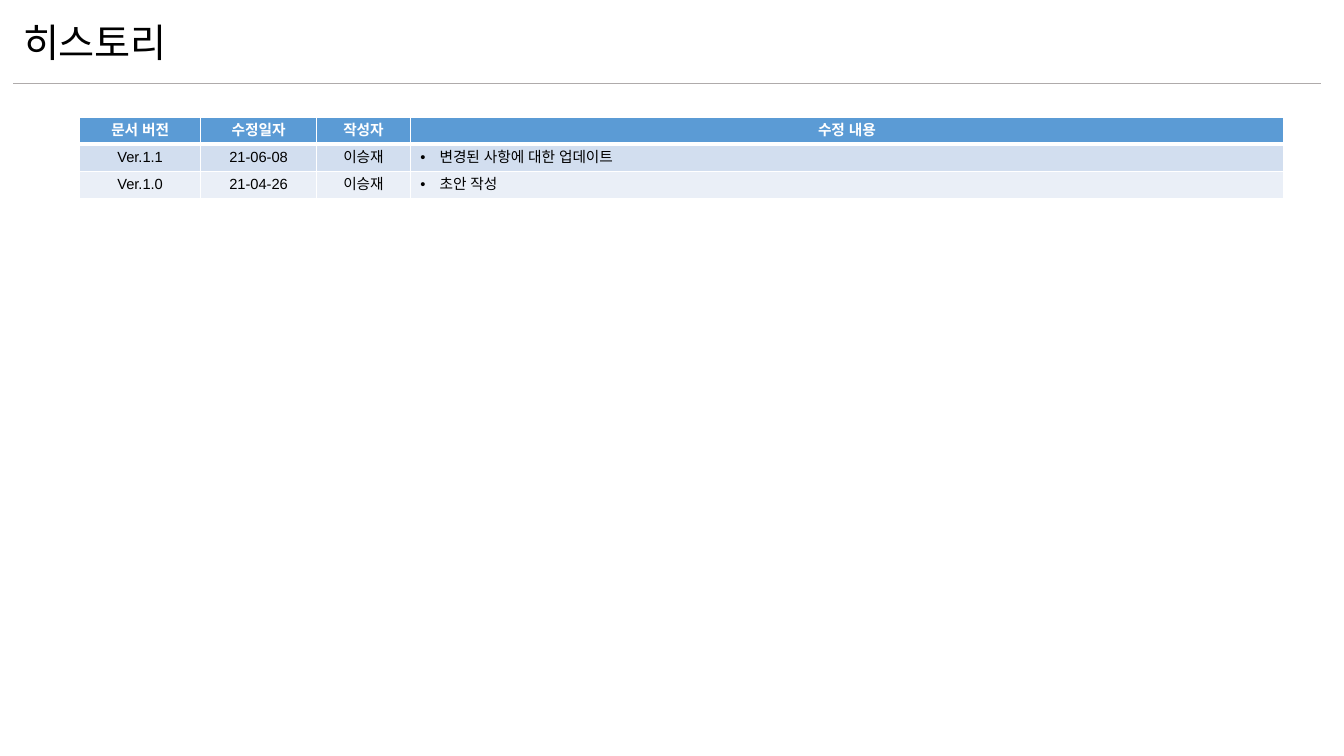
from lxml import etree
from pptx import Presentation
from pptx.dml.color import RGBColor
from pptx.enum import shapes, text
from pptx.oxml.ns import qn
from pptx.util import Inches, Pt

# Content
TITLE = "히스토리"
HISTORY = [
    ("문서 버전", "수정일자", "작성자", "수정 내용"),
    ("Ver.1.1", "21-06-08", "이승재", "변경된 사항에 대한 업데이트"),
    ("Ver.1.0", "21-04-26", "이승재", "초안 작성"),
]
COLUMN_WIDTHS = (1.2, 1.15, 0.93, 8.66)
ROW_FILLS = ("5B9BD5", "D2DEEF", "EAEFF7")
ROW_HEIGHT = 0.27
WHITE, BLACK, RULE_GREY = "FFFFFF", "000000", "AFABAB"


def color(hex_value):
    return RGBColor.from_string(hex_value)


def format_runs(paragraph, font_name, size, hex_value, bold=False):
    for run in paragraph.runs:
        font = run.font
        font.name, font.size, font.bold = font_name, Pt(size), bold
        font.color.rgb = color(hex_value)
        east_asian = etree.SubElement(run._r.get_or_add_rPr(), qn("a:ea"))
        east_asian.set("typeface", font_name)


def add_bullet(paragraph):
    properties = paragraph._p.get_or_add_pPr()
    properties.set("marL", str(Inches(0.19)))
    properties.set("indent", str(-Inches(0.19)))
    etree.SubElement(properties, qn("a:buFont")).set("typeface", "Arial")
    etree.SubElement(properties, qn("a:buChar")).set("char", "•")


def set_borders(cell, widths):
    properties = cell._tc.get_or_add_tcPr()
    for index, (side, width) in enumerate(widths.items()):
        line = etree.Element(qn(f"a:{side}"), w=str(Pt(width)))
        fill = etree.SubElement(line, qn("a:solidFill"))
        etree.SubElement(fill, qn("a:srgbClr")).set("val", WHITE)
        properties.insert(index, line)


presentation = Presentation()
presentation.slide_width, presentation.slide_height = Inches(13.33), Inches(7.5)
slide = presentation.slides.add_slide(presentation.slide_layouts[6])

# Title
title = slide.shapes.add_textbox(Inches(0.13), Inches(0.13), Inches(10.22), Inches(0.57))
frame = title.text_frame
frame.text = TITLE
frame.word_wrap = True
frame.vertical_anchor = text.MSO_ANCHOR.MIDDLE
format_runs(frame.paragraphs[0], "Calibri", 28, BLACK)

# Rule under the title
rule = slide.shapes.add_connector(
    shapes.MSO_CONNECTOR.STRAIGHT, Inches(0.13), Inches(0.83), Inches(13.1), Inches(0.83))
rule.line.color.rgb = color(RULE_GREY)
rule.line.width = Pt(0.5)
etree.SubElement(rule._element.spPr, qn("a:effectLst"))

# History table
table = slide.shapes.add_table(
    len(HISTORY), len(COLUMN_WIDTHS), Inches(0.79), Inches(1.16),
    Inches(sum(COLUMN_WIDTHS)), Inches(ROW_HEIGHT * len(HISTORY))).table
for column, width in zip(table.columns, COLUMN_WIDTHS):
    column.width = Inches(width)

for row_index, entries in enumerate(HISTORY):
    table.rows[row_index].height = Inches(ROW_HEIGHT)
    is_header = row_index == 0
    for column_index, entry in enumerate(entries):
        cell = table.cell(row_index, column_index)
        cell.text_frame.text = entry
        cell.vertical_anchor = text.MSO_ANCHOR.MIDDLE
        cell.margin_top = cell.margin_bottom = Inches(0.03)
        cell.fill.solid()
        cell.fill.fore_color.rgb = color(ROW_FILLS[row_index])
        set_borders(cell, {"lnL": 1, "lnR": 1,
                           "lnT": 3 if row_index == 1 else 1,
                           "lnB": 3 if is_header else 1})
        paragraph = cell.text_frame.paragraphs[0]
        format_runs(paragraph, "Arial", 10.5, WHITE if is_header else BLACK, is_header)
        if is_header or column_index < len(entries) - 1:
            paragraph.alignment = text.PP_ALIGN.CENTER
        else:
            paragraph.alignment = text.PP_ALIGN.LEFT
            add_bullet(paragraph)

presentation.save("out.pptx")
